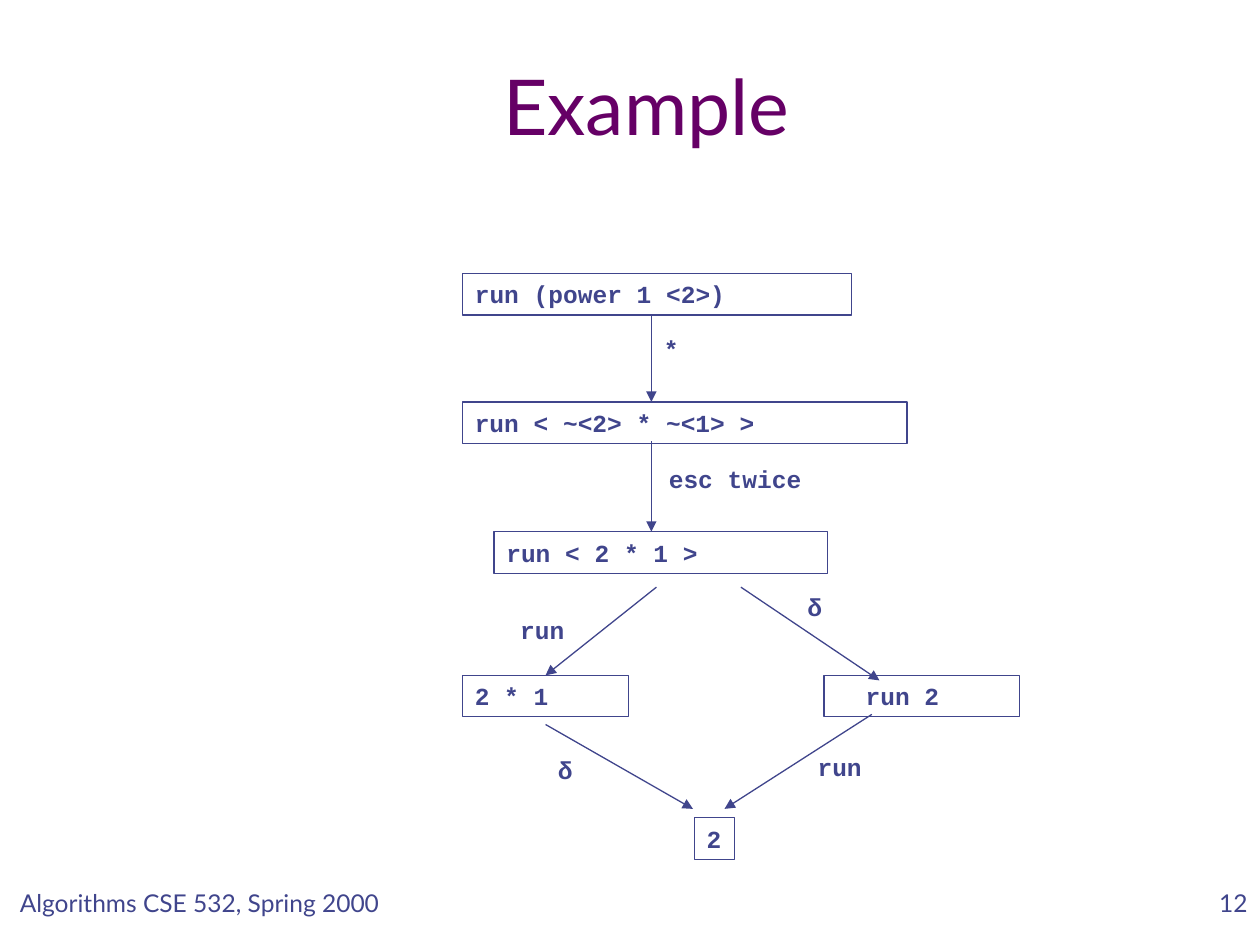
from lxml.etree import SubElement
from pptx import Presentation
from pptx.dml.color import RGBColor
from pptx.enum.shapes import MSO_CONNECTOR, MSO_SHAPE
from pptx.enum.text import MSO_ANCHOR, PP_ALIGN
from pptx.oxml.ns import qn
from pptx.util import Inches, Pt

PURPLE = RGBColor(0x66, 0x00, 0x66)
INDIGO = RGBColor(0x40, 0x45, 0x8C)
CODE = {"name": "Courier New", "size": Pt(14), "bold": True}
GREEK = {"name": "Arial", "size": Pt(14), "bold": True}
FOOTER = {"name": "Lato", "size": Pt(14), "bold": False}
TITLE = {"name": "Lato", "size": Pt(44), "bold": False}
ROW_HEIGHT = 0.33


def write(shape, text, font_format, color=INDIGO, align=PP_ALIGN.LEFT,
          anchor=MSO_ANCHOR.TOP, wrap=True):
    frame = shape.text_frame
    frame.word_wrap = wrap
    frame.vertical_anchor = anchor
    paragraph = frame.paragraphs[0]
    paragraph.text = text
    paragraph.alignment = align
    for name, value in font_format.items():
        setattr(paragraph.font, name, value)
    paragraph.font.color.rgb = color


presentation = Presentation()
presentation.slide_width = Inches(10)
presentation.slide_height = Inches(7.5)
slide = presentation.slides.add_slide(presentation.slide_layouts[5])
shapes = slide.shapes

# Title
title = shapes.title
title.left, title.top = Inches(0.67), Inches(0.42)
title.width, title.height = Inches(8.92), Inches(0.83)
write(title, "Example", TITLE, PURPLE, PP_ALIGN.CENTER, MSO_ANCHOR.BOTTOM)

# Expressions: text, left, top, width, left margin
expressions = [
    ("run (power 1 <2>)", 3.67, 2.17, 3.09, 0.1),
    ("run < ~<2> * ~<1> >", 3.67, 3.19, 3.53, 0.1),
    ("run < 2 * 1 >", 3.92, 4.22, 2.65, 0.1),
    ("run 2", 6.54, 5.36, 1.55, 0.33),
    ("2 * 1", 3.67, 5.36, 1.32, 0.1),
    ("2", 5.51, 6.49, 0.32, 0.1),
]
boxes = {}
for text, left, top, width, margin in expressions:
    box = shapes.add_shape(MSO_SHAPE.RECTANGLE, Inches(left), Inches(top),
                           Inches(width), Inches(ROW_HEIGHT))
    box.shadow.inherit = False
    box.fill.background()
    box.line.color.rgb = INDIGO
    box.line.width = Pt(0.75)
    write(box, text, CODE, anchor=MSO_ANCHOR.MIDDLE)
    box.text_frame.margin_left = Inches(margin)
    boxes[text] = box

# Reduction arrows: start, end, box whose top middle the arrow meets
arrows = [
    ((5.17, 2.5), (5.17, 3.19), None),
    ((5.17, 3.5), (5.17, 4.22), None),
    ((5.21, 4.66), (4.33, 5.4), "2 * 1"),
    ((5.88, 4.66), (6.98, 5.4), None),
    ((4.33, 5.75), (5.5, 6.42), None),
    ((6.92, 5.67), (5.75, 6.42), None),
]
for start, end, target in arrows:
    arrow = shapes.add_connector(MSO_CONNECTOR.STRAIGHT,
                                 *map(Inches, start + end))
    if target:
        arrow.end_connect(boxes[target], 0)
    arrow.line.color.rgb = INDIGO
    arrow.line.width = Pt(0.75)
    SubElement(arrow.line._get_or_add_ln(), qn("a:tailEnd"), type="triangle")
    SubElement(arrow._element.spPr, qn("a:effectLst"))

# Rule names beside the arrows: text, left, top, width, font
labels = [
    ("*", 5.17, 2.6, 0.32, CODE),
    ("esc twice", 5.21, 3.63, 1.25, CODE),
    ("run", 4.03, 4.83, 0.55, CODE),
    ("δ", 6.31, 4.65, 0.3, GREEK),
    ("δ", 4.33, 5.94, 0.3, GREEK),
    ("run", 6.39, 5.92, 0.55, CODE),
]
for text, left, top, width, font_format in labels:
    label = shapes.add_textbox(Inches(left), Inches(top),
                               Inches(width), Inches(ROW_HEIGHT))
    write(label, text, font_format, wrap=False)

# Footer and slide number
for text, left, width, align in [
    ("Algorithms CSE 532, Spring 2000", 0, 3.17, PP_ALIGN.CENTER),
    ("12", 7.92, 2.08, PP_ALIGN.RIGHT),
]:
    footer = shapes.add_textbox(Inches(left), Inches(7),
                                Inches(width), Inches(0.5))
    write(footer, text, FOOTER, align=align)

presentation.save("out.pptx")
